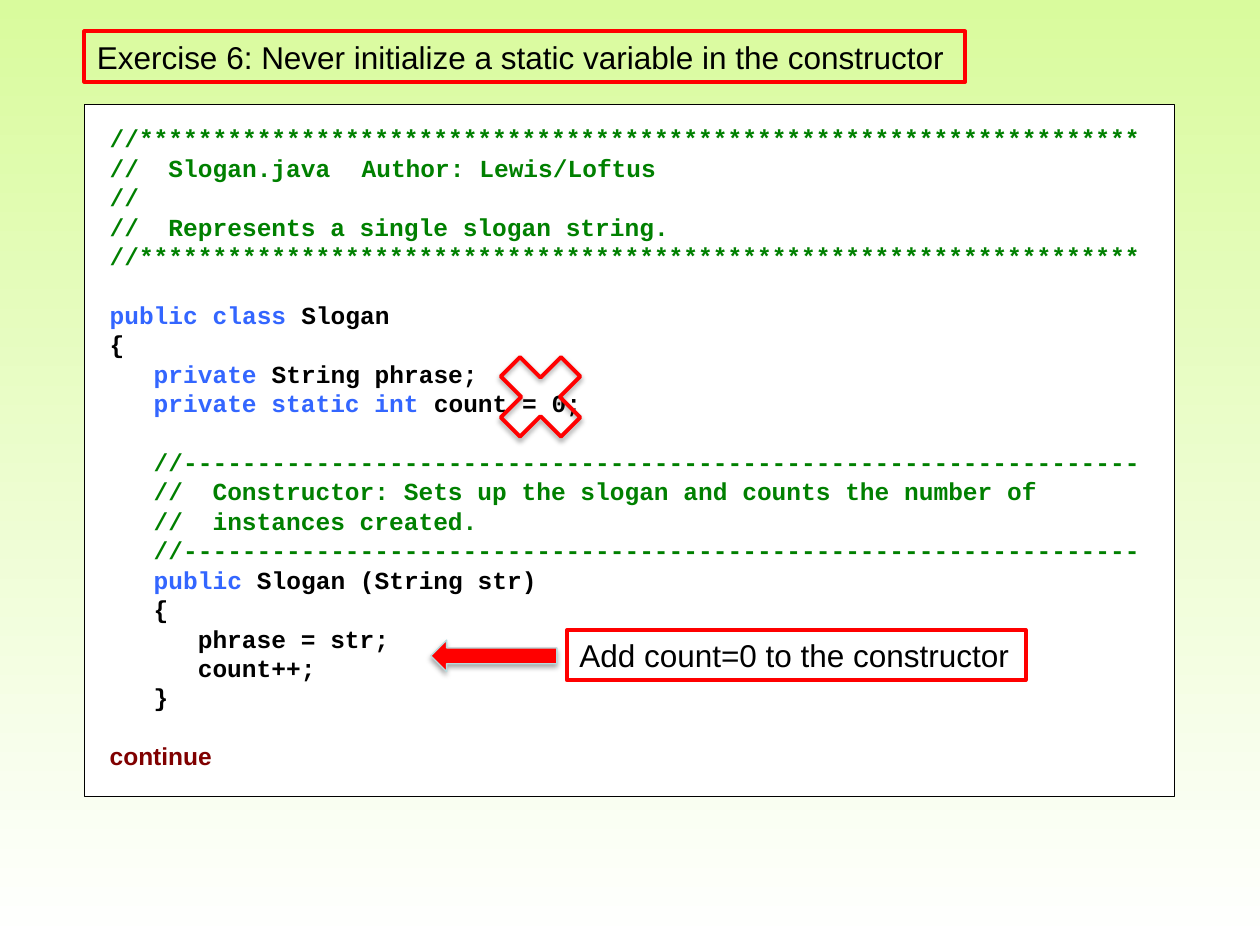
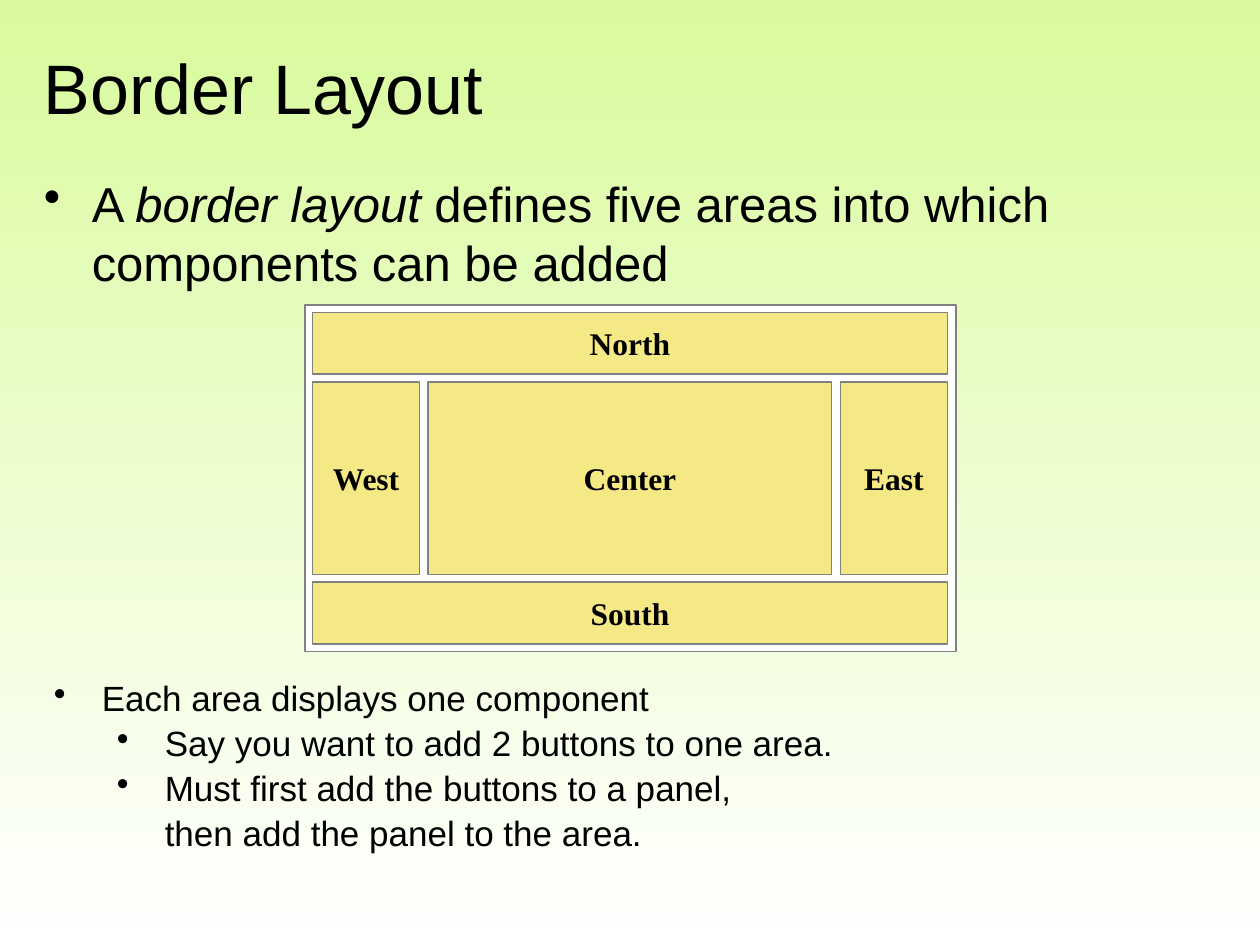
"""Build two teaching slides: a static variable exercise and the border layout."""
import pptx
import pptx.dml.color
import pptx.enum.shapes
import pptx.enum.text
import pptx.oxml
import pptx.oxml.ns
import pptx.util

RGBColor = pptx.dml.color.RGBColor
Inches = pptx.util.Inches
Pt = pptx.util.Pt
SHAPE = pptx.enum.shapes.MSO_SHAPE
ANCHOR = pptx.enum.text.MSO_ANCHOR
ALIGN = pptx.enum.text.PP_ALIGN

LIME = RGBColor(0xD9, 0xFB, 0x9D)
WHITE = RGBColor(0xFF, 0xFF, 0xFF)
BLACK = RGBColor(0x00, 0x00, 0x00)
RED = RGBColor(0xFF, 0x00, 0x00)
PALE_TEAL = RGBColor(0xB6, 0xDC, 0xDF)
COMMENT_GREEN = RGBColor(0x00, 0x80, 0x00)
KEYWORD_BLUE = RGBColor(0x33, 0x66, 0xFF)
MAROON = RGBColor(0x80, 0x00, 0x00)
GRAY = RGBColor(0x80, 0x80, 0x80)
SAND = RGBColor(0xF5, 0xE9, 0x85)

BODY_FONT = "Arial"
CODE_FONT = "Courier New"
AREA_FONT = "Times New Roman"
CODE_SIZE = 14
CODE_CHARACTER = 0.6 * CODE_SIZE
HANGING = 0.38
NAMESPACE = pptx.oxml.ns.nsdecls("a")


def add_box(shapes, place, preset=SHAPE.RECTANGLE, fill=None, line=None, weight=1.0, anchor=ANCHOR.TOP, wrap=True):
    """Add a preset shape without a shadow."""
    shape = shapes.add_shape(preset, *[Inches(length) for length in place])
    shape.shadow.inherit = False
    if fill is None:
        shape.fill.background()
    else:
        shape.fill.solid()
        shape.fill.fore_color.rgb = fill
    if line is None:
        shape.line.fill.background()
    else:
        shape.line.color.rgb = line
        shape.line.width = Pt(weight)
    shape.text_frame.vertical_anchor = anchor
    shape.text_frame.word_wrap = wrap
    shape.text_frame.paragraphs[0].alignment = ALIGN.LEFT
    return shape


def add_run(paragraph, text, size, font=BODY_FONT, color=BLACK, bold=False, italic=False):
    """Add one formatted run."""
    run = paragraph.add_run()
    run.text = text
    run.font.size = Pt(size)
    run.font.name = font
    run.font.color.rgb = color
    run.font.bold = bold
    run.font.italic = italic


presentation = pptx.Presentation()
presentation.slide_width = Inches(10)
presentation.slide_height = Inches(7.5)
background = presentation.slide_master.background.fill
background.gradient()
background.gradient_angle = 270
for stop, color in zip(background.gradient_stops, (LIME, WHITE)):
    stop.color.rgb = color
blank_layout = presentation.slide_layouts[6]

exercise_slide = presentation.slides.add_slide(blank_layout)
code_box = add_box(exercise_slide.shapes, (0.67, 0.83, 8.65, 5.49), fill=WHITE, line=BLACK, weight=0.75)
code_frame = code_box.text_frame
code_frame.margin_left = code_frame.margin_right = Inches(0.2)
code_frame.margin_top = code_frame.margin_bottom = Inches(0.15)

star_rule = "//" + "*" * 68
dash_rule = "//" + "-" * 65
code_lines = [
    (0, False, [(star_rule, COMMENT_GREEN)]),
    (0, False, [("//  Slogan.java\tAuthor: Lewis/Loftus", COMMENT_GREEN)]),
    (0, False, [("//", COMMENT_GREEN)]),
    (0, False, [("//  Represents a single slogan string.", COMMENT_GREEN)]),
    (0, False, [(star_rule, COMMENT_GREEN)]),
    (0, True, [("public class ", KEYWORD_BLUE), ("Slogan", BLACK)]),
    (0, False, [("{", BLACK)]),
    (1, False, [("private ", KEYWORD_BLUE), ("String phrase;", BLACK)]),
    (1, False, [("private static int ", KEYWORD_BLUE), ("count = 0;", BLACK)]),
    (1, True, [(dash_rule, COMMENT_GREEN)]),
    (1, False, [("//  Constructor: Sets up the slogan and counts the number of", COMMENT_GREEN)]),
    (1, False, [("//  instances created.", COMMENT_GREEN)]),
    (1, False, [(dash_rule, COMMENT_GREEN)]),
    (1, False, [("public ", KEYWORD_BLUE), ("Slogan (String str)", BLACK)]),
    (1, False, [("{", BLACK)]),
    (2, False, [("phrase = str;", BLACK)]),
    (2, False, [("count++;", BLACK)]),
    (1, False, [("}", BLACK)]),
    (0, True, [("continue", MAROON)]),
]
for number, (depth, gap_above, pieces) in enumerate(code_lines):
    paragraph = code_frame.add_paragraph() if number else code_frame.paragraphs[0]
    paragraph.alignment = ALIGN.LEFT
    paragraph.space_before = Pt(1.2 * CODE_SIZE if gap_above else 0)
    properties = paragraph._p.get_or_add_pPr()
    properties.set("marL", str(Pt(3 * depth * CODE_CHARACTER)))
    properties.set("indent", "0")
    for text, color in pieces:
        if "\t" in text:
            author_column = Pt(22 * CODE_CHARACTER)
            properties.append(pptx.oxml.parse_xml(
                f'<a:tabLst {NAMESPACE}><a:tab pos="{author_column}" algn="l"/></a:tabLst>'))
        font = BODY_FONT if color == MAROON else CODE_FONT
        add_run(paragraph, text, CODE_SIZE, font, color, bold=True)

for text, place in (
    ("Exercise 6: Never initialize a static variable in the constructor", (0.67, 0.25, 6.99, 0.4)),
    ("Add count=0 to the constructor", (4.5, 5, 3.64, 0.4)),
):
    callout = add_box(exercise_slide.shapes, place, line=RED, weight=2.25, wrap=False)
    add_run(callout.text_frame.paragraphs[0], text, 18)

arrow = add_box(exercise_slide.shapes, (3.42, 5.08, 1, 0.25), SHAPE.LEFT_ARROW, RED, PALE_TEAL, 0.75)
cross = add_box(exercise_slide.shapes, (3.83, 2.69, 0.92, 0.92), SHAPE.MATH_MULTIPLY, None, RED, 2.25)
for mark in (arrow, cross):
    effects = mark._element.spPr.find(pptx.oxml.ns.qn("a:effectLst"))
    effects.append(pptx.oxml.parse_xml(
        f'<a:outerShdw {NAMESPACE} blurRad="{Pt(3.1)}" dist="{Pt(1.8)}" dir="5400000" rotWithShape="0">'
        '<a:srgbClr val="000000"><a:alpha val="35000"/></a:srgbClr></a:outerShdw>'))

layout_slide = presentation.slides.add_slide(blank_layout)
text_blocks = [
    ((0.25, 0.3, 9.5, 0.78), ANCHOR.MIDDLE, 40, 1, [(0, False, [("Border Layout", False)])]),
    ((0.25, 1.33, 9.58, 1.33), ANCHOR.TOP, 28, 1, [
        (HANGING, True, [("A ", False), ("border layout", True),
                         (" defines five areas into which components can be added", False)]),
    ]),
    ((0.33, 5.36, 8.83, 1.78), ANCHOR.TOP, 20, 0.9, [
        (HANGING, True, [("Each area displays one component", False)]),
        (HANGING + 0.5, True, [("Say you want to add 2 buttons to one area.", False)]),
        (HANGING + 0.5, True, [("Must first add the buttons to a panel,", False)]),
        (HANGING + 0.5, False, [("then add the panel to the area.", False)]),
    ]),
]
for place, anchor, size, spacing, lines in text_blocks:
    text_box = layout_slide.shapes.add_textbox(*[Inches(length) for length in place])
    frame = text_box.text_frame
    frame.word_wrap = True
    frame.vertical_anchor = anchor
    for number, (margin, bulleted, pieces) in enumerate(lines):
        paragraph = frame.add_paragraph() if number else frame.paragraphs[0]
        paragraph.line_spacing = float(spacing)
        paragraph.space_before = Pt(0.2 * size if margin else 0)
        properties = paragraph._p.get_or_add_pPr()
        properties.set("marL", str(Inches(margin)))
        properties.set("indent", str(Inches(-HANGING if bulleted else 0)))
        if bulleted:
            properties.append(pptx.oxml.parse_xml(f'<a:buChar {NAMESPACE} char="•"/>'))
        for text, italic in pieces:
            add_run(paragraph, text, size, italic=italic)

diagram = layout_slide.shapes.add_group_shape()
add_box(diagram.shapes, (2.42, 2.42, 5.17, 2.75), fill=WHITE, line=GRAY)
column_lefts, column_widths = (2.48, 3.4, 6.67), (0.85, 3.2, 0.85)
row_tops, row_heights = (2.48, 3.03, 4.62), (0.49, 1.53, 0.49)
areas = [("North", 0, 0, 2), ("South", 2, 0, 2), ("Center", 1, 1, 1), ("East", 1, 2, 2), ("West", 1, 0, 0)]
for name, row, first, last in areas:
    left = column_lefts[first]
    width = column_lefts[last] + column_widths[last] - left
    area = add_box(diagram.shapes, (left, row_tops[row], width, row_heights[row]),
                   fill=SAND, line=GRAY, anchor=ANCHOR.MIDDLE, wrap=False)
    paragraph = area.text_frame.paragraphs[0]
    paragraph.alignment = ALIGN.CENTER
    add_run(paragraph, name, 18, AREA_FONT, bold=True)

presentation.save("out.pptx")
